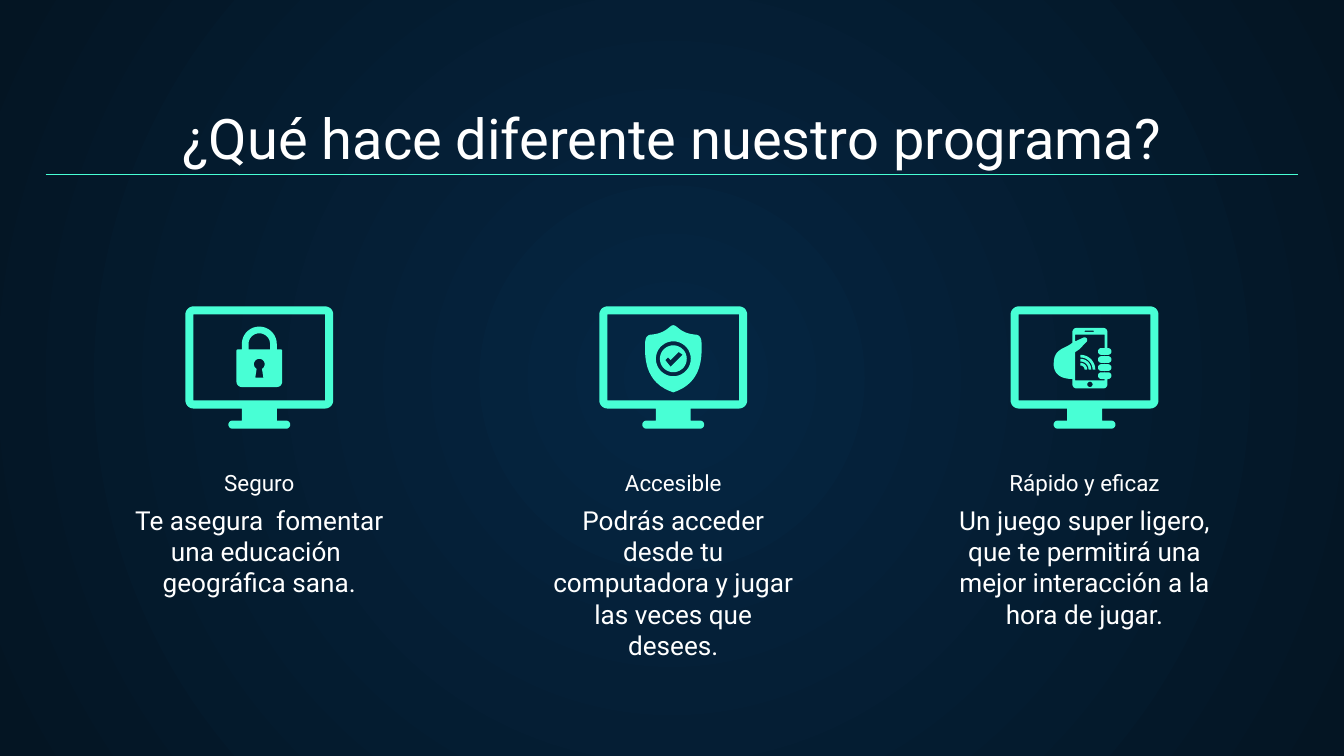
from dataclasses import dataclass
from math import cos, radians, sin

from lxml import etree
from pptx import Presentation
from pptx.dml.color import RGBColor
from pptx.enum.shapes import MSO_CONNECTOR
from pptx.enum.text import MSO_ANCHOR, MSO_AUTO_SIZE, PP_ALIGN
from pptx.oxml.ns import qn
from pptx.util import Inches, Pt

LINE = MSO_CONNECTOR.STRAIGHT
TOP, LOW = MSO_ANCHOR.TOP, MSO_ANCHOR.BOTTOM
FIXED = MSO_AUTO_SIZE.NONE
MID = PP_ALIGN.CENTER

FONT = "Roboto"
HUES = {"glow": "052643", "edge": "041523", "mint": "48FFD5", "text": "FFFFFF"}

WIDE = 10
TALL = WIDE * 9 / 16
MIDS = (1.93, 5.01, 8.07)  # column centres
ICON_TOP = 2.28

Point = tuple[float, float]
Loop = list[Point]


@dataclass
class Card:
    head: str
    body: str
    tall: float
    icon: list[Loop]


def hue(name: str) -> RGBColor:
    return RGBColor.from_string(HUES[name])


# Outlines: x runs from the column centre, y from the top of the monitor.
def arc(x: float, y: float, r: float, start: int, end: int) -> Loop:
    """Points on a circle, clockwise from start to end in degrees."""
    count = max(6, abs(end - start) // 10)
    turns = [radians(start + (end - start) * i / count) for i in range(count + 1)]
    return [(x + r * cos(t), y + r * sin(t)) for t in turns]


def disc(x: float, y: float, r: float) -> Loop:
    return arc(x, y, r, 0, 360)


def box(x: float, y: float, w: float, h: float) -> Loop:
    return [(x, y), (x + w, y), (x + w, y + h), (x, y + h)]


def pill(x: float, y: float, w: float, h: float) -> Loop:
    r = h / 2
    return arc(x + w - r, y + r, r, -90, 90) + arc(x + r, y + r, r, 90, 270)


def curve(a: Point, b: Point, c: Point, d: Point) -> Loop:
    """Points on a cubic Bézier curve."""
    loop = []
    for i in range(13):
        t = i / 12
        parts = ((1 - t) ** 3, 3 * t * (1 - t) ** 2, 3 * t * t * (1 - t), t ** 3)
        x, y = (sum(k * p[n] for k, p in zip(parts, (a, b, c, d))) for n in (0, 1))
        loop.append((x, y))
    return loop


def flip(loop: Loop) -> Loop:
    return [(-x, y) for x, y in reversed(loop)]


def make_screen() -> list[Loop]:
    half = (arc(0.49, 0.06, 0.06, -90, 0) + arc(0.49, 0.7, 0.06, 0, 90)
            + [(0.13, 0.76), (0.13, 0.85)] + arc(0.2, 0.88, 0.03, -90, 90))
    return [half + flip(half), box(-0.49, 0.06, 0.98, 0.64)]


def make_lock() -> list[Loop]:
    half = (arc(0, 0.28, 0.13, -90, 0) + [(0.13, 0.32)]
            + arc(0.16, 0.33, 0.01, -90, 0) + arc(0.13, 0.56, 0.04, 0, 90))
    arch = arc(0, 0.28, 0.08, 180, 360) + [(0.08, 0.32), (-0.08, 0.32)]
    key = arc(0, 0.43, 0.04, 120, 420) + [(0.03, 0.53), (-0.03, 0.53)]
    return [half + flip(half), arch, key]


def make_shield() -> list[Loop]:
    half = (curve((0, 0.14), (0.03, 0.14), (0.05, 0.2), (0.16, 0.21))
            + curve((0.16, 0.21), (0.2, 0.21), (0.21, 0.24), (0.21, 0.28))
            + curve((0.21, 0.28), (0.22, 0.48), (0.15, 0.59), (0, 0.64)))
    tick = [(-0.06, 0.4), (-0.04, 0.38), (-0.02, 0.4),
            (0.04, 0.34), (0.07, 0.36), (-0.02, 0.45)]
    return [half + flip(half), disc(0, 0.39, 0.13), disc(0, 0.39, 0.1), tick]


def make_phone() -> list[Loop]:
    """A hand on a phone; the edge is cut away where the fingers lie."""
    hand = (curve((-0.09, 0.54), (-0.18, 0.54), (-0.23, 0.5), (-0.23, 0.43))
            + curve((-0.23, 0.43), (-0.23, 0.31), (-0.15, 0.32), (-0.09, 0.27)))
    edge = (arc(-0.06, 0.19, 0.03, 180, 270) + arc(0.14, 0.19, 0.03, 270, 360)
            + [(0.17, 0.31), (0.15, 0.31), (0.15, 0.54), (0.17, 0.54)]
            + arc(0.14, 0.58, 0.03, 0, 90) + arc(-0.06, 0.58, 0.03, 90, 180))
    thumb = [(-0.07, 0.34), (-0.04, 0.32)] + arc(0, 0.25, 0.02, 45, -120)
    glass = [(-0.07, 0.21), (0.15, 0.21), (0.15, 0.55), (-0.07, 0.55)] + thumb + [(-0.07, 0.26)]
    waves = [arc(-0.03, 0.47, r, -90, 0) + arc(-0.03, 0.47, r - 0.02, 0, -90)
             for r in (0.05, 0.08, 0.11)]
    hold = [pill(0.1, 0.31 + 0.06 * i, 0.1, 0.05) for i in range(4)]
    return [edge + hand, glass, pill(0, 0.18, 0.07, 0.01), disc(0.04, 0.58, 0.02), *waves, *hold]


def draw_icon(slide, mid: float, loops: list[Loop]) -> None:
    """Draw the loops as one shape; a loop inside another is a hole."""
    pen = None
    for loop in loops:
        spots = [(Inches(mid + x), Inches(ICON_TOP + y)) for x, y in loop]
        if pen is None:
            pen = slide.shapes.build_freeform(*spots[0], scale=1.0)
        else:
            pen.move_to(*spots[0])
        pen.add_line_segments(spots[1:], close=True)
    shape = pen.convert_to_shape()
    shape.shadow.inherit = False
    shape.fill.solid()
    shape.fill.fore_color.rgb = hue("mint")
    shape.line.fill.background()


def write(shape, text: str, size: int, anchor: MSO_ANCHOR) -> None:
    frame = shape.text_frame
    frame.word_wrap = True
    frame.auto_size = FIXED
    frame.vertical_anchor = anchor
    frame.margin_left = frame.margin_right = Inches(0.1)
    frame.margin_top = frame.margin_bottom = Inches(0.1)
    para = frame.paragraphs[0]
    para.alignment = MID
    run = para.add_run()
    run.text = text
    run.font.name = FONT
    run.font.size = Pt(size)
    run.font.color.rgb = hue("text")


def add_label(slide, mid: float, top: float, wide: float, tall: float,
              text: str, size: int, anchor: MSO_ANCHOR) -> None:
    shape = slide.shapes.add_textbox(
        Inches(mid - wide / 2), Inches(top), Inches(wide), Inches(tall))
    write(shape, text, size, anchor)


def paint_back(slide) -> None:
    """Fill the slide with a round gradient."""
    fill = slide.background.fill
    fill.gradient()
    for stop, name, place in zip(fill.gradient_stops, ("glow", "edge"), (0, 1)):
        stop.color.rgb = hue(name)
        stop.position = place
    grad = slide.element.find(".//" + qn("a:gradFill"))
    grad.remove(grad.find(qn("a:lin")))
    ring = etree.SubElement(grad, qn("a:path"), {"path": "circle"})
    etree.SubElement(ring, qn("a:fillToRect"), dict.fromkeys("ltrb", "50000"))


def add_title(slide, text: str) -> None:
    title = slide.shapes.title
    title.left, title.top = Inches(0.34), Inches(0.71)
    title.width, title.height = Inches(9.32), Inches(0.66)
    write(title, text, 30, LOW)


def add_rule(slide) -> None:
    rule = slide.shapes.add_connector(
        LINE, Inches(0.34), Inches(1.3), Inches(9.66), Inches(1.3))
    rule.line.color.rgb = hue("mint")
    rule.line.width = Pt(0.75)
    etree.SubElement(rule.element.spPr, qn("a:effectLst"))


def add_card(slide, mid: float, card: Card) -> None:
    add_label(slide, mid, 3.65, 2.07, card.tall, card.body, 14, TOP)
    add_label(slide, mid, 3.58, 2.27, 0.21, card.head, 12, LOW)
    draw_icon(slide, mid, make_screen())
    draw_icon(slide, mid, card.icon)


def main() -> None:
    deck = Presentation()
    deck.slide_width, deck.slide_height = Inches(WIDE), Inches(TALL)
    slide = deck.slides.add_slide(deck.slide_layouts.get_by_name("Title Only"))
    paint_back(slide)
    add_title(slide, "¿Qué hace diferente nuestro programa?")
    cards = [
        Card("Seguro", "Te asegura  fomentar una educación  geográfica sana.",
             1.15, make_lock()),
        Card("Accesible", "Podrás acceder desde tu computadora y jugar las veces que desees.",
             0.55, make_shield()),
        Card("Rápido y eficaz",
             "Un juego super ligero, que te permitirá una mejor interacción a la hora de jugar.",
             0.55, make_phone()),
    ]
    for mid, card in zip(MIDS, cards):
        add_card(slide, mid, card)
    add_rule(slide)
    deck.save("out.pptx")


if __name__ == "__main__":
    main()
